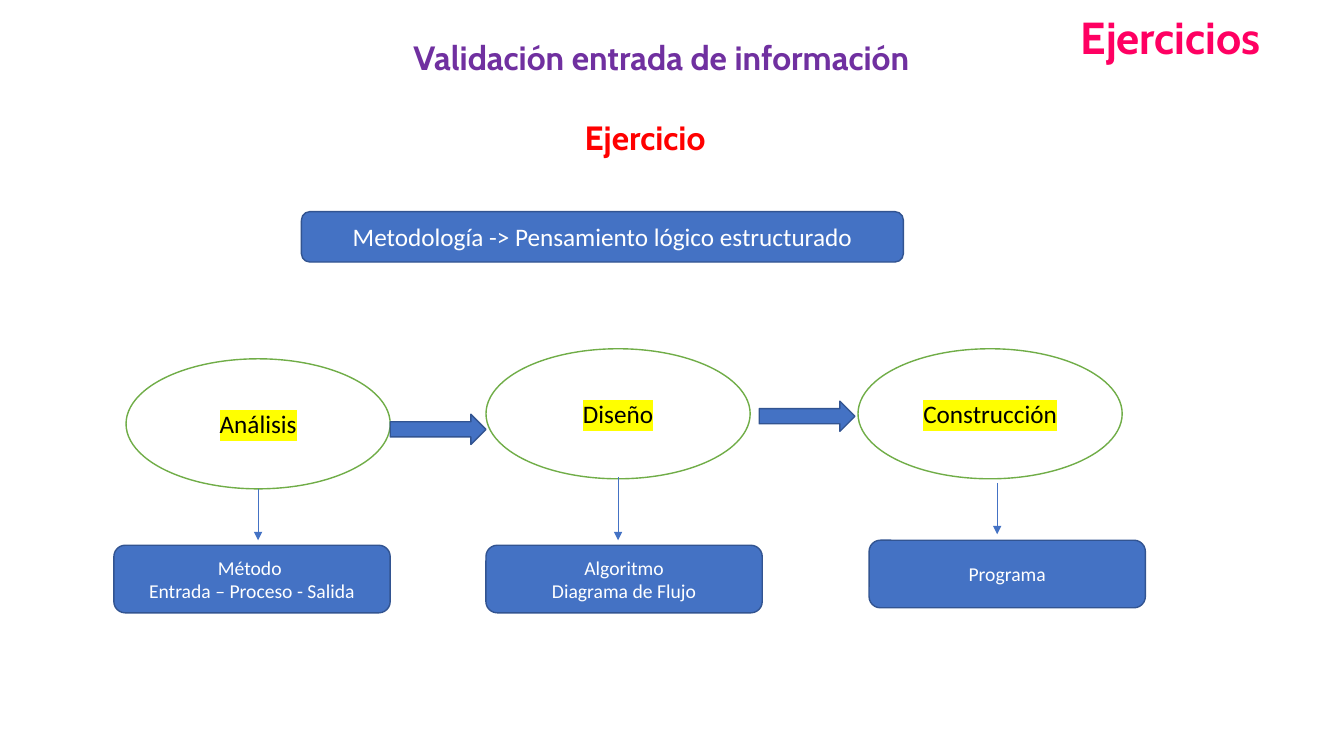
from lxml.etree import SubElement
from pptx import Presentation
from pptx.dml.color import RGBColor
from pptx.enum.shapes import MSO_CONNECTOR, MSO_SHAPE
from pptx.enum.text import MSO_ANCHOR as Anchor, MSO_AUTO_SIZE as AutoSize, PP_ALIGN as Align
from pptx.oxml.ns import qn
from pptx.util import Pt

EMU_PER_PX = 9144  # 100 px to the inch

COLORS = {
    "white": "FFFFFF", "black": "000000", "blue": "4472C4", "navy": "325491",
    "green": "70AD47", "yellow": "FFFF00", "pink": "FF0062",
    "purple": "7030A0", "red": "FF0000",
}

# Content: text, box, size, colour, alignment
TITLE = ("Validación entrada de información", (400, 32, 680, 50), 24, "purple", Align.LEFT)
HEADINGS = [
    ("Ejercicios", (1062, 5, 271, 64), 32, "pink", Align.LEFT),
    ("Ejercicio", (570, 111, 368, 50), 24, "red", Align.JUSTIFY),
]
METHODOLOGY = ("Metodología -> Pensamiento lógico estructurado", (299, 210, 597, 50))

# Stage name, its left and top; result lines, their left and top
STAGES = [
    ("Análisis", (125, 356), ["Método ", "Entrada – Proceso - Salida"], (113, 541)),
    ("Diseño", (482, 346), ["Algoritmo", "Diagrama de Flujo"], (482, 541)),
    ("Construcción", (851, 346), ["Programa"], (862, 536)),
]
STAGE_SIZE = (262, 129)
RESULT_SIZE = (274, 67)
BLOCK_ARROWS = [(387, 411), (753, 398)]
BLOCK_ARROW_SIZE = (95, 30)
DOWN_ARROWS = [(256, 485, 536), (613, 473, 536), (989, 479, 530)]  # x, top, bottom


def px(*values):
    return [value * EMU_PER_PX for value in values]


def rgb(name):
    return RGBColor.from_string(COLORS[name])


def write(shape, lines, size, color, font="Calibri", align=Align.CENTER, bold=False):
    frame = shape.text_frame
    frame.text = "\n".join(lines)
    for paragraph in frame.paragraphs:
        paragraph.alignment = align
        paragraph.font.name = font
        paragraph.font.size = Pt(size)
        paragraph.font.bold = bold
        paragraph.font.color.rgb = rgb(color)


def write_heading(shape, text, size, color, align):
    frame = shape.text_frame
    frame.word_wrap = True
    frame.auto_size = AutoSize.NONE
    frame.vertical_anchor = Anchor.TOP
    write(shape, [text], size, color, "Cabin", align, True)


def add_figure(kind, box, fill="blue", line="navy"):
    shape = slide.shapes.add_shape(kind, *px(*box))
    shape.shadow.inherit = False
    shape.fill.solid()
    shape.fill.fore_color.rgb = rgb(fill)
    shape.line.color.rgb = rgb(line)
    shape.line.width = Pt(1)
    shape.text_frame.vertical_anchor = Anchor.MIDDLE
    return shape


def highlight(shape, color):
    run = shape.text_frame.paragraphs[0].runs[0]
    mark = SubElement(run._r.get_or_add_rPr(), qn("a:highlight"))
    SubElement(mark, qn("a:srgbClr"), val=COLORS[color])


def add_down_arrow(x, top, bottom):
    connector = slide.shapes.add_connector(MSO_CONNECTOR.STRAIGHT, *px(x, top, x, bottom))
    connector.line.color.rgb = rgb("blue")
    connector.line.width = Pt(0.5)
    SubElement(connector.line._get_or_add_ln(), qn("a:tailEnd"), type="triangle")
    SubElement(connector._element.spPr, qn("a:effectLst"))


presentation = Presentation()
presentation.slide_width, presentation.slide_height = px(1333, 750)
slide = presentation.slides.add_slide(presentation.slide_layouts[5])

# Title and headings
text, box, *style = TITLE
title = slide.shapes.title
title.left, title.top, title.width, title.height = px(*box)
write_heading(title, text, *style)
for text, box, *style in HEADINGS:
    write_heading(slide.shapes.add_textbox(*px(*box)), text, *style)

# Methodology banner
text, box = METHODOLOGY
write(add_figure(MSO_SHAPE.ROUNDED_RECTANGLE, box), [text], 18, "white")

# Stages and their results
for name, stage_corner, result_lines, result_corner in STAGES:
    stage = add_figure(MSO_SHAPE.OVAL, stage_corner + STAGE_SIZE, "white", "green")
    write(stage, [name], 18, "black")
    highlight(stage, "yellow")
    result = add_figure(MSO_SHAPE.ROUNDED_RECTANGLE, result_corner + RESULT_SIZE)
    write(result, result_lines, 14, "white")

# Arrows between stages and down to results
for corner in BLOCK_ARROWS:
    add_figure(MSO_SHAPE.RIGHT_ARROW, corner + BLOCK_ARROW_SIZE)
for ends in DOWN_ARROWS:
    add_down_arrow(*ends)

presentation.save("out.pptx")
